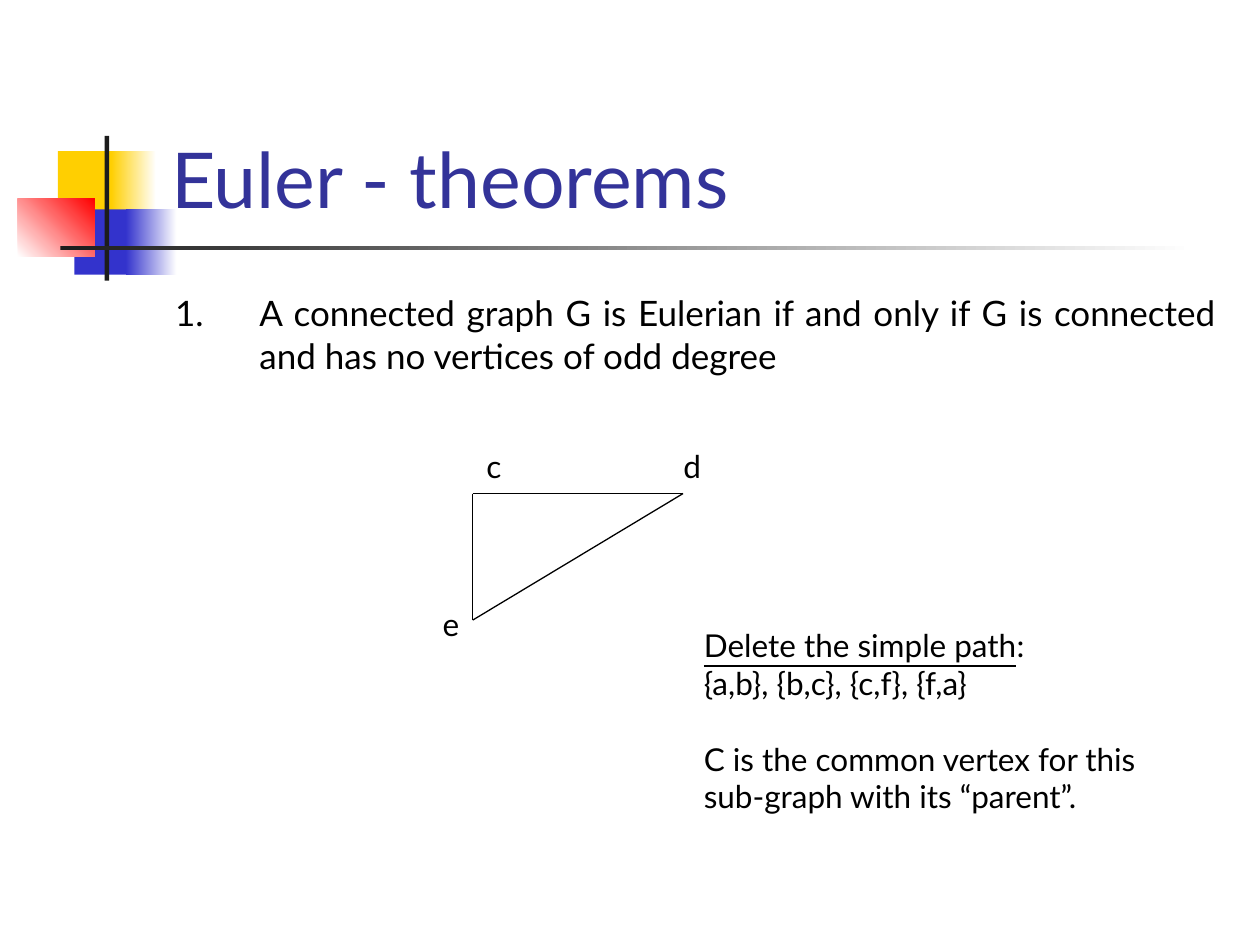
import pptx
import pptx.util
import pptx.dml.color
import pptx.enum.shapes
import pptx.enum.text
import pptx.oxml.ns
from lxml import etree

Cm = pptx.util.Cm
Pt = pptx.util.Pt
RGB = pptx.dml.color.RGBColor
Align = pptx.enum.text.PP_ALIGN
Anchor = pptx.enum.text.MSO_ANCHOR

GOLD = RGB(0xFF, 0xCF, 0x01)
BLUE = RGB(0x33, 0x33, 0xCC)
RED = RGB(0xFF, 0x00, 0x00)
DARK = RGB(0x1C, 0x1C, 0x1C)
NAVY = RGB(0x33, 0x33, 0x99)
BLACK = RGB(0x00, 0x00, 0x00)
WHITE = RGB(0xFF, 0xFF, 0xFF)


class Deck:
    font = "Lato"

    def __init__(self):
        self.prs = pptx.Presentation()
        self.prs.slide_width = Cm(25.4)
        self.prs.slide_height = Cm(19.05)
        self.slide = self.prs.slides.add_slide(self.prs.slide_layouts[6])

    def block(self, box, color, end=None, angle=0):
        """Rectangle in one colour, or fading from color to end."""
        kind = pptx.enum.shapes.MSO_SHAPE.RECTANGLE
        shape = self.slide.shapes.add_shape(kind, *map(Cm, box))
        shape.shadow.inherit = False
        shape.line.fill.background()
        if end is None:
            shape.fill.solid()
            shape.fill.fore_color.rgb = color
            return
        shape.fill.gradient()
        shape.fill.gradient_angle = angle
        for stop, tone, pos in zip(shape.fill.gradient_stops, (color, end), (0, 1)):
            stop.color.rgb = tone
            stop.position = pos

    def edge(self, start, end):
        kind = pptx.enum.shapes.MSO_CONNECTOR.STRAIGHT
        line = self.slide.shapes.add_connector(kind, *map(Cm, start + end))
        line.line.color.rgb = BLACK
        line.line.width = Pt(0.75)
        props = line._element.spPr
        etree.SubElement(props, pptx.oxml.ns.qn("a:effectLst"))

    def text(self, box, lines, size, color=BLACK, align=Align.LEFT, wrap=False,
             anchor=Anchor.TOP):
        """Text box; each line is a string or a list of run strings."""
        frame = self.slide.shapes.add_textbox(*map(Cm, box)).text_frame
        frame.word_wrap = wrap
        frame.vertical_anchor = anchor
        for i, line in enumerate(lines):
            para = frame.add_paragraph() if i else frame.paragraphs[0]
            para.alignment = align
            if isinstance(line, str):
                para.text = line
            else:
                for part in line:
                    para.add_run().text = part
            for run in para.runs:
                run.font.name = self.font
                run.font.size = Pt(size)
                run.font.color.rgb = color
        return frame.paragraphs


def main():
    deck = Deck()

    # Corner ornament: squares, then the crossing bars
    deck.block((1.17, 3.05, 1.22, 1.32), GOLD)
    deck.block((2.24, 3.05, 0.91, 1.32), GOLD, WHITE)
    deck.block((1.5, 4.22, 1.17, 1.32), BLUE)
    deck.block((2.54, 4.22, 1.02, 1.32), BLUE, WHITE)
    deck.block((0.36, 4.01, 1.55, 1.17), WHITE, RED, 45)
    deck.block((2.11, 2.74, 0.09, 2.92), DARK)
    deck.block((1.22, 4.95, 22.86, 0.09), DARK, WHITE)

    # Title
    deck.text((3.2, 0.58, 21.64, 4.06), ["Euler - theorems"], 44, NAVY,
              wrap=True, anchor=Anchor.BOTTOM)

    # Theorem with a hanging number
    claim = ("A connected graph G is Eulerian if and only if G is connected "
             "and has no vertices of odd degree")
    para = deck.text((3.28, 5.61, 21.49, 2.64), [["1.", "\t", claim]], 20,
                     align=Align.JUSTIFY, wrap=True)[0]
    para.runs[1].font.size = Pt(24)
    props = para._p.get_or_add_pPr()
    props.set("marL", str(Cm(1.7)))
    props.set("indent", str(-Cm(1.7)))

    # Triangle graph
    c, d, e = (9.53, 9.95), (13.77, 9.95), (9.53, 12.5)
    for start, end in ((c, d), (c, e), (e, d)):
        deck.edge(start, end)
    for name, left, top, width in (("c", 9.55, 8.89, 0.81),
                                   ("d", 13.51, 8.89, 0.89),
                                   ("e", 8.66, 12.07, 0.86)):
        deck.text((left, top, width, 1.02), [name], 18, align=Align.CENTER)

    # Remark on the deleted path
    note = deck.text((13.94, 12.5, 9.8, 4.06), [
        ["Delete the simple path", ":"],
        "{a,b}, {b,c}, {c,f}, {f,a}",
        "C is the common vertex for this",
        "sub-graph with its “parent”.",
    ], 18)
    note[0].runs[0].font.underline = True
    note[2].space_before = Pt(21.6)

    deck.prs.save("out.pptx")


if __name__ == "__main__":
    main()
